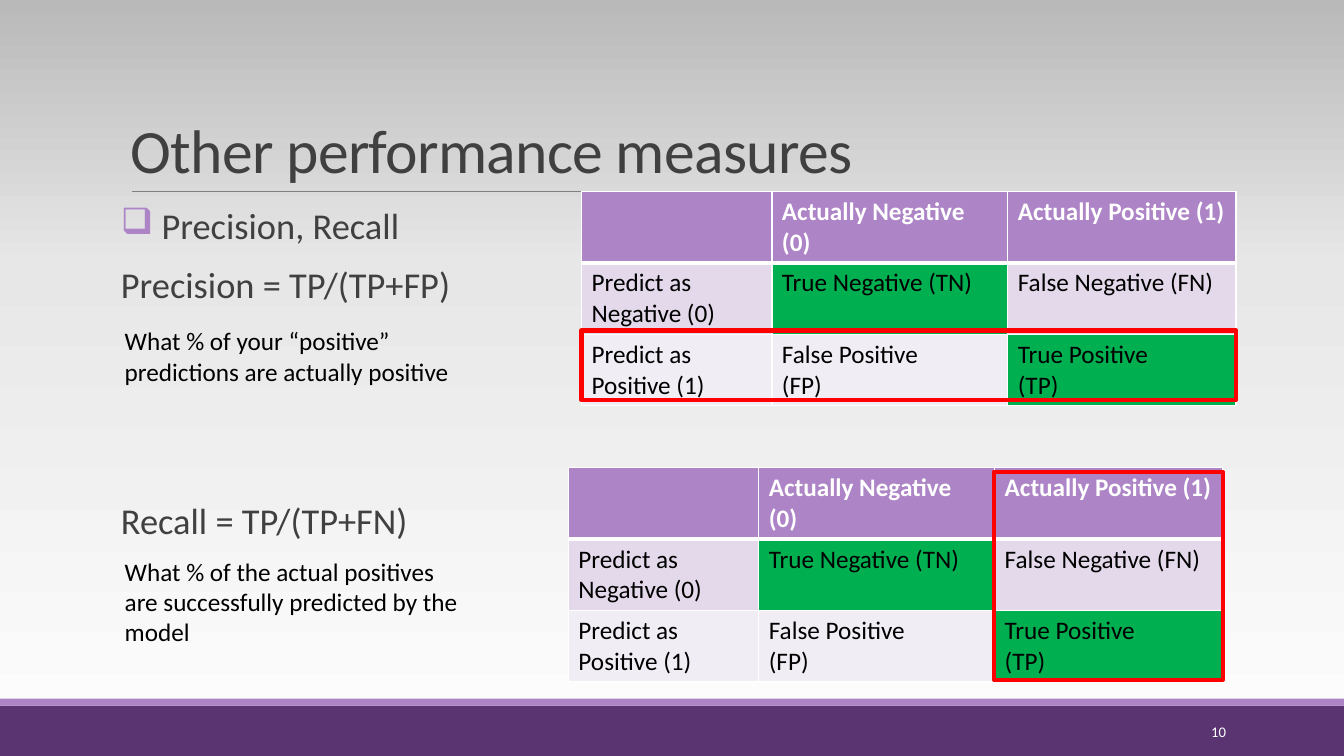
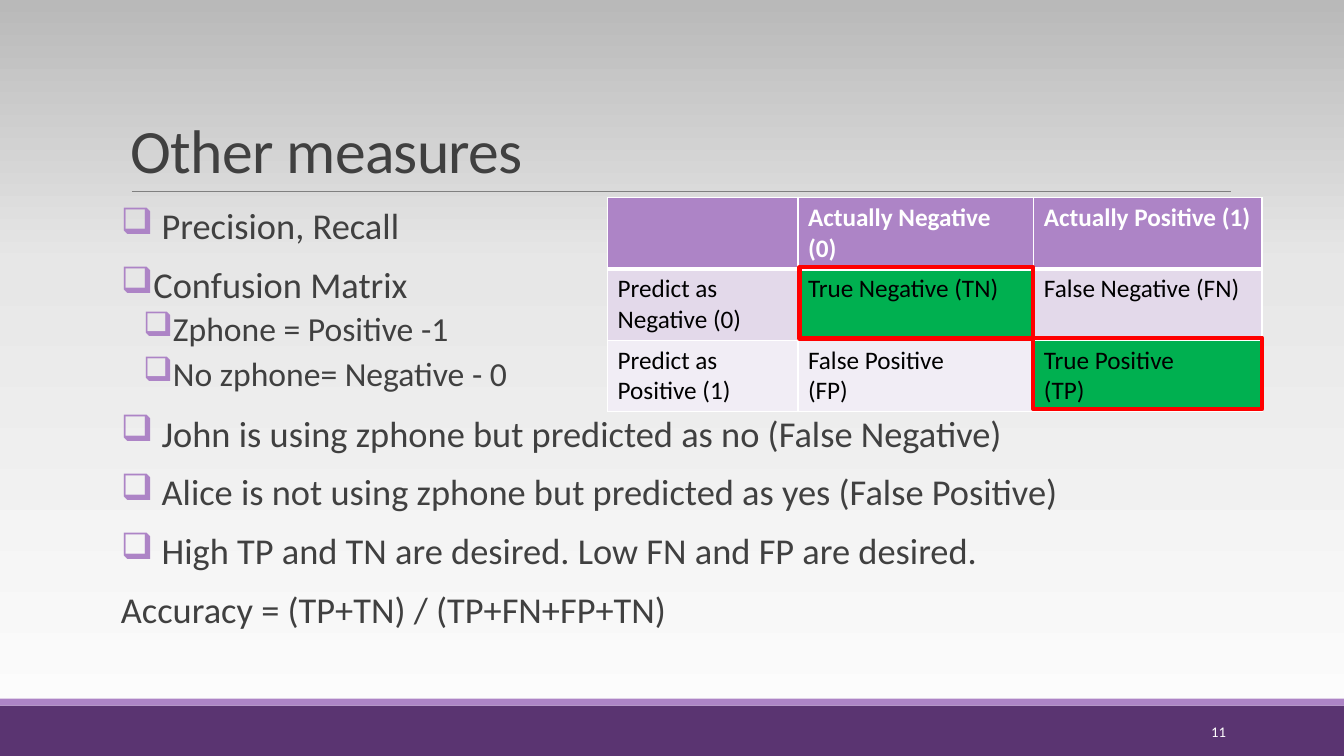
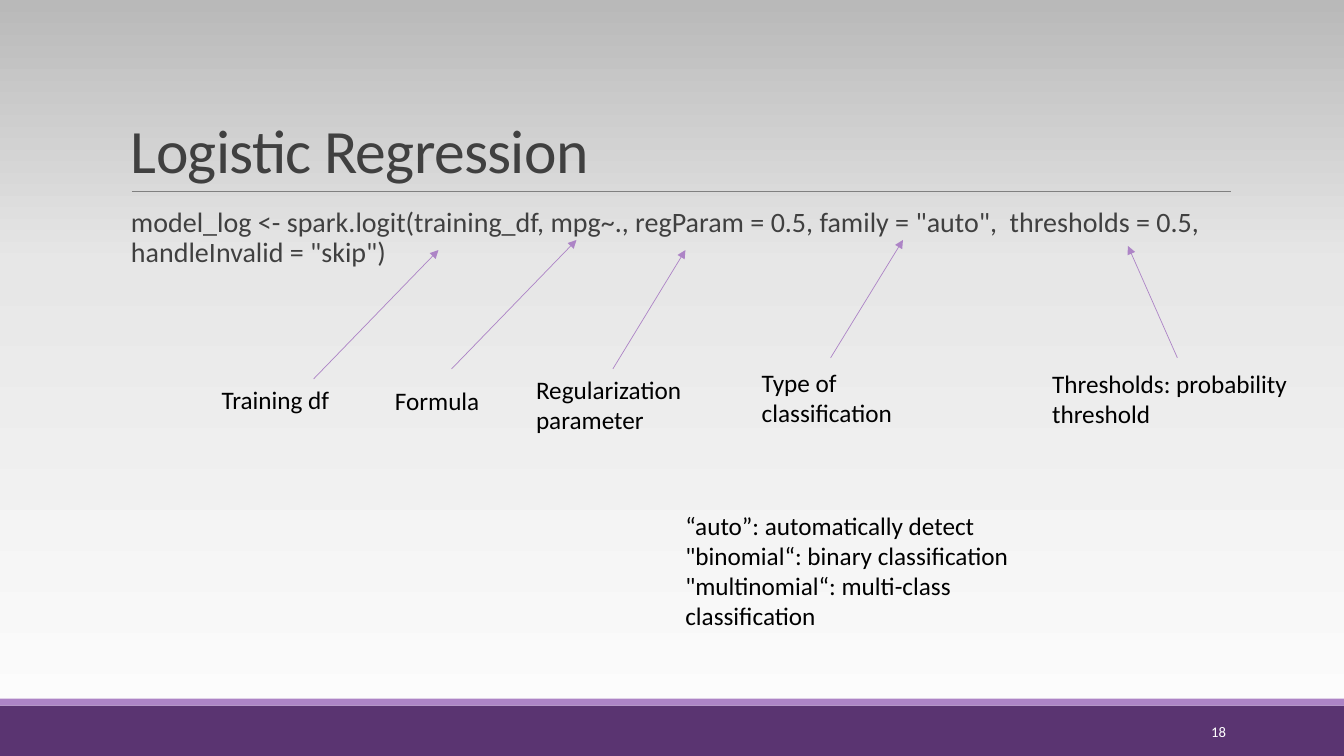
"""Build three slides on classification measures and logistic regression."""
import copy

import lxml.etree
import pptx
import pptx.dml.color
import pptx.enum.shapes
import pptx.enum.text
import pptx.oxml.ns
import pptx.util

Pt = pptx.util.Pt
RGBColor = pptx.dml.color.RGBColor
qn = pptx.oxml.ns.qn
ANCHOR = pptx.enum.text.MSO_ANCHOR
ALIGN = pptx.enum.text.PP_ALIGN
SHAPE = pptx.enum.shapes.MSO_SHAPE
CONNECTOR = pptx.enum.shapes.MSO_CONNECTOR

PURPLE = RGBColor(0x5A, 0x34, 0x71)
LILAC = RGBColor(0xAD, 0x84, 0xC6)
LILAC_LIGHT = RGBColor(0xE3, 0xD9, 0xEA)
LILAC_PALE = RGBColor(0xF1, 0xED, 0xF5)
GREEN = RGBColor(0x00, 0xB0, 0x50)
RED = RGBColor(0xFF, 0x00, 0x00)
GREY = RGBColor(0x80, 0x80, 0x80)
CHARCOAL = RGBColor(0x40, 0x40, 0x40)
BLACK = RGBColor(0x00, 0x00, 0x00)
WHITE = RGBColor(0xFF, 0xFF, 0xFF)
BACKDROP = [
    (0, RGBColor(0xFE, 0xFE, 0xFE)),
    (0.65, RGBColor(0xE7, 0xE7, 0xE7)),
    (1, RGBColor(0xB9, 0xB9, 0xB9)),
]

FONT = "Calibri"
BODY = {"line_spacing": 0.9, "space_before": Pt(12), "space_after": Pt(2)}
SUB = {**BODY, "level": 1, "space_before": Pt(2), "space_after": Pt(4)}
BODY_STYLES = {
    "plain": {"size": 26, "format": BODY},
    "apart": {"size": 26, "format": {**BODY, "space_before": Pt(138)}},
    "bullet": {"size": 26, "format": BODY, "indent": (7.2, -7.2), "bullet": "❑"},
    "sub": {"size": 24, "format": SUB, "indent": (30.2, -14.4), "bullet": "❑"},
    "code": {"size": 20, "format": BODY, "indent": (7.2, 0)},
}

MATRIX = [
    ["", "Actually Negative (0)", "Actually Positive (1)"],
    ["Predict as Negative (0)", "True Negative (TN)", "False Negative (FN)"],
    ["Predict as Positive (1)", "False Positive\n(FP)", "True Positive\n(TP)"],
]
ROW_FILLS = [LILAC, LILAC_LIGHT, LILAC_PALE]
COLUMN_WIDTHS = [136, 168.5, 163]
ROW_HEIGHT = 51


class SlideBuilder:
    """Hold the shared style and the current slide."""

    def __init__(self):
        self.deck = pptx.Presentation()
        self.deck.slide_width, self.deck.slide_height = Pt(960), Pt(540)
        self.page = None
        self.paint_backdrop()

    def paint_backdrop(self):
        master = self.deck.slide_master
        fill = master.background.fill
        fill.gradient()
        fill.gradient_angle = 90
        stop_list = master.element.find(".//" + qn("a:gsLst"))
        stop_list.append(copy.deepcopy(stop_list[-1]))
        for stop, (position, color) in zip(fill.gradient_stops, BACKDROP):
            stop.position = position
            stop.color.rgb = color

    def start(self, title, number):
        self.page = self.deck.slides.add_slide(self.deck.slide_layouts[6])
        self.rectangle(0, 504, 960, 36, fill=PURPLE)
        self.rectangle(0, 499, 960, 5, fill=LILAC)
        self.line((94.3, 136.8), (879.1, 136.8), GREY)
        self.text(86.4, 22.3, 792, 114.5, title, 44, CHARCOAL, ANCHOR.BOTTOM,
                  {"line_spacing": 0.85}, spacing=-50)
        self.text(779.8, 508.3, 103, 28.8, str(number), 10.5, WHITE,
                  ANCHOR.MIDDLE, {"alignment": ALIGN.RIGHT})

    def rectangle(self, left, top, width, height, fill=None, outline=None):
        box = self.page.shapes.add_shape(
            SHAPE.RECTANGLE, Pt(left), Pt(top), Pt(width), Pt(height))
        box.shadow.inherit = False
        for part, color in ((box.fill, fill), (box.line.fill, outline)):
            if color is None:
                part.background()
            else:
                part.solid()
                part.fore_color.rgb = color
        if outline is not None:
            box.line.width = Pt(3)

    def line(self, start, end, color, arrow=False):
        line = self.page.shapes.add_connector(
            CONNECTOR.STRAIGHT, *(Pt(value) for value in (*start, *end)))
        line.line.color.rgb = color
        line.line.width = Pt(0.5)
        properties = line.element.spPr
        if arrow:
            lxml.etree.SubElement(
                properties.find(qn("a:ln")), qn("a:tailEnd"), type="triangle")
        lxml.etree.SubElement(properties, qn("a:effectLst"))

    def frame(self, left, top, width, height, **format):
        box = self.page.shapes.add_textbox(
            Pt(left), Pt(top), Pt(width), Pt(height))
        for name, value in {"word_wrap": True, **format}.items():
            setattr(box.text_frame, name, value)
        return box.text_frame

    def add_span(self, para, text, size, color, format=None, bold=False):
        for name, value in (format or {}).items():
            setattr(para, name, value)
        span = para.add_run()
        span.text = text
        font = {"name": FONT, "size": Pt(size), "bold": bold}
        for name, value in font.items():
            setattr(span.font, name, value)
        span.font.color.rgb = color
        return span

    def add_lines(self, frame, text, size, color, **style):
        for index, line in enumerate(text.split("\n")):
            para = frame.add_paragraph() if index else frame.paragraphs[0]
            span = self.add_span(para, line, size, color, **style)
        return span

    def text(self, left, top, width, height, text, size=18, color=BLACK,
             anchor=ANCHOR.TOP, format=None, spacing=None):
        frame = self.frame(left, top, width, height, vertical_anchor=anchor)
        span = self.add_lines(frame, text, size, color, format=format)
        if spacing is not None:
            span._r.get_or_add_rPr().set("spc", str(spacing))

    def body(self, items):
        frame = self.frame(86.4, 145.4, 792, 316.8, margin_left=0, margin_right=0)
        for index, (kind, text) in enumerate(items):
            style = BODY_STYLES[kind]
            para = frame.add_paragraph() if index else frame.paragraphs[0]
            self.add_span(para, text, style["size"], CHARCOAL, style["format"])
            properties = para._p.get_or_add_pPr()
            margin, hanging = style.get("indent", (0, 0))
            properties.set("marL", str(Pt(margin)))
            properties.set("indent", str(Pt(hanging)))
            if "bullet" in style:
                color = lxml.etree.SubElement(properties, qn("a:buClr"))
                lxml.etree.SubElement(color, qn("a:srgbClr"), val=str(LILAC))
                lxml.etree.SubElement(
                    properties, qn("a:buChar"), char=style["bullet"])

    def border(self, cell, widths):
        properties = cell._tc.get_or_add_tcPr()
        for side, width in zip("LRTB", widths):
            line = lxml.etree.SubElement(
                properties, qn("a:ln" + side), w=str(Pt(width)))
            fill = lxml.etree.SubElement(line, qn("a:solidFill"))
            lxml.etree.SubElement(fill, qn("a:srgbClr"), val=str(WHITE))

    def matrix(self, left, top):
        table = self.page.shapes.add_table(
            len(MATRIX), len(COLUMN_WIDTHS), Pt(left), Pt(top),
            Pt(sum(COLUMN_WIDTHS)), Pt(ROW_HEIGHT * len(MATRIX))).table
        for column, width in zip(table.columns, COLUMN_WIDTHS):
            column.width = Pt(width)
        for row, texts in enumerate(MATRIX):
            table.rows[row].height = Pt(ROW_HEIGHT)
            header = row == 0
            for column, text in enumerate(texts):
                cell = table.cell(row, column)
                self.border(cell, (1, 1, 3 if row == 1 else 1, 3 if header else 1))
                cell.fill.solid()
                correct = text.startswith("True")
                cell.fill.fore_color.rgb = GREEN if correct else ROW_FILLS[row]
                if text:
                    self.add_lines(cell.text_frame, text, 18,
                                   WHITE if header else BLACK, bold=header)


def main():
    slides = SlideBuilder()

    slides.start("Other performance measures", 10)
    slides.body([
        ("bullet", " Precision, Recall"),
        ("plain", "Precision = TP/(TP+FP)"),
        ("apart", "Recall = TP/(TP+FN)"),
    ])
    slides.matrix(415.4, 136.8)
    slides.rectangle(415.4, 236, 467.5, 49.7, outline=RED)
    slides.text(82, 229, 258.5, 51,
                "What % of your “positive” predictions are actually positive")
    slides.text(82, 393.8, 258.5, 72.7, "What % of the actual positives "
                "are successfully predicted by the model")
    slides.matrix(406, 334)
    slides.rectangle(710, 337, 163.5, 148.5, outline=RED)

    slides.start("Other measures", 11)
    slides.body([
        ("bullet", " Precision, Recall"),
        ("bullet", "Confusion Matrix"),
        ("sub", "Zphone = Positive -1"),
        ("sub", "No zphone= Negative - 0"),
        ("bullet", " John is using zphone but predicted as no (False Negative)"),
        ("bullet", " Alice is not using zphone but predicted as yes (False Positive)"),
        ("bullet", " High TP and TN are desired. Low FN and FP are desired."),
        ("plain", "Accuracy = (TP+TN) / (TP+FN+FP+TN)"),
    ])
    slides.matrix(434, 141)
    slides.rectangle(738, 241.2, 163.5, 51, outline=RED)
    slides.rectangle(571, 190.8, 167, 51, outline=RED)

    slides.start("Logistic Regression", 18)
    slides.body([("code", "model_log <- spark.logit(training_df, mpg~., "
                  "regParam = 0.5, family = \"auto\",  thresholds = 0.5, "
                  "handleInvalid = \"skip\")")])
    arguments = [
        ("Training df", (151.2, 270.7, 91.4, 28.8), (224, 270.7), (313.2, 178.6)),
        ("Formula", (275, 271.4, 91.4, 28.8), (322.6, 263.5), (411.8, 171.4)),
        ("Regularization parameter", (375.8, 263.5, 121.7, 51),
         (437.8, 263.5), (489.6, 178.6)),
        ("Type of classification", (537, 258.5, 121.7, 51),
         (593.3, 255.6), (645, 171.4)),
        ("Thresholds: probability threshold", (744.5, 259.2, 191.5, 51),
         (841, 255.6), (805.7, 175.7)),
    ]
    for label, area, start, end in arguments:
        slides.line(start, end, LILAC, arrow=True)
        slides.text(*area, label)
    slides.text(482.4, 360.7, 294.5, 72.7, "“auto”: automatically detect\n"
                "\"binomial“: binary classification\n"
                "\"multinomial“: multi-class classification")

    slides.deck.save("out.pptx")


if __name__ == "__main__":
    main()
